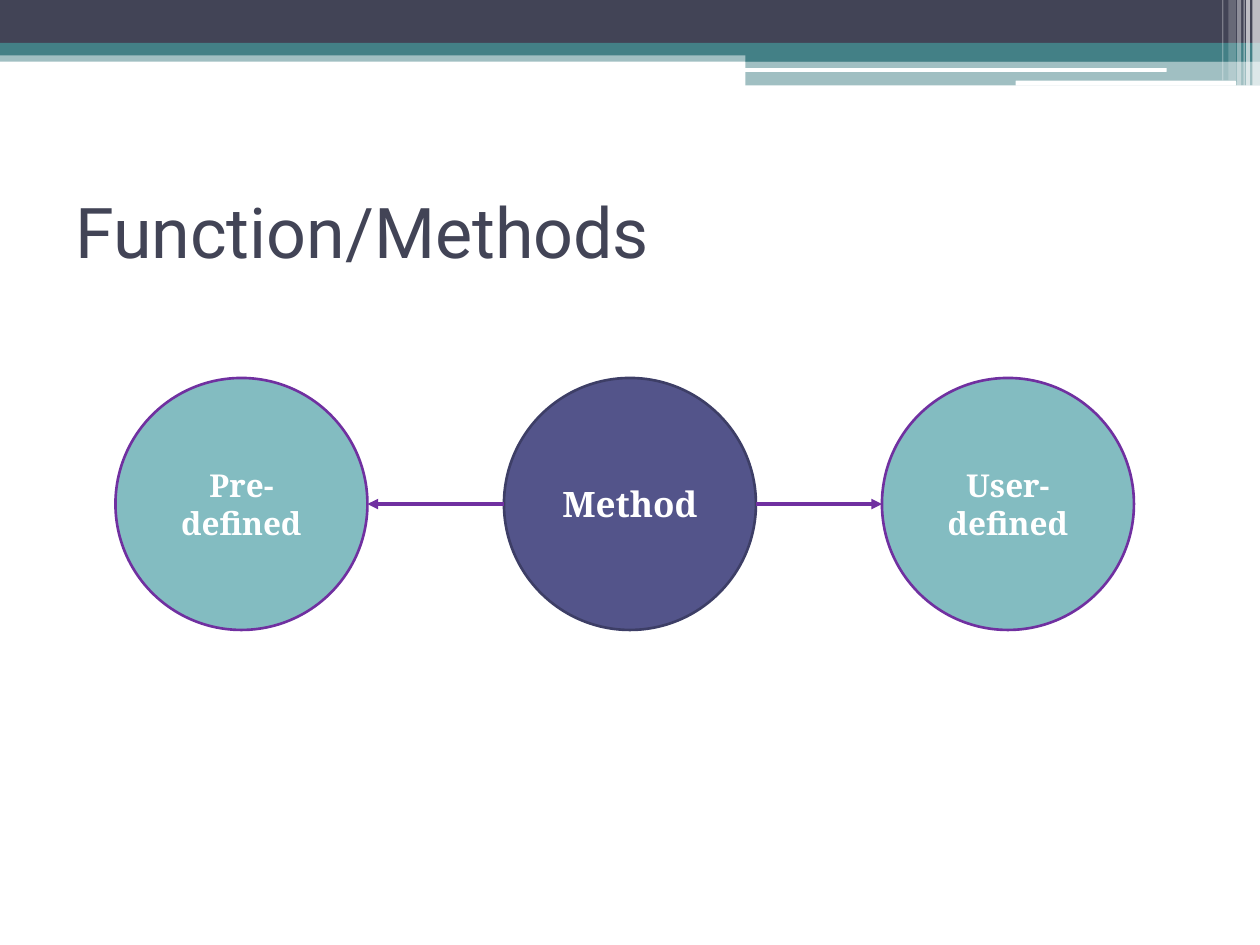
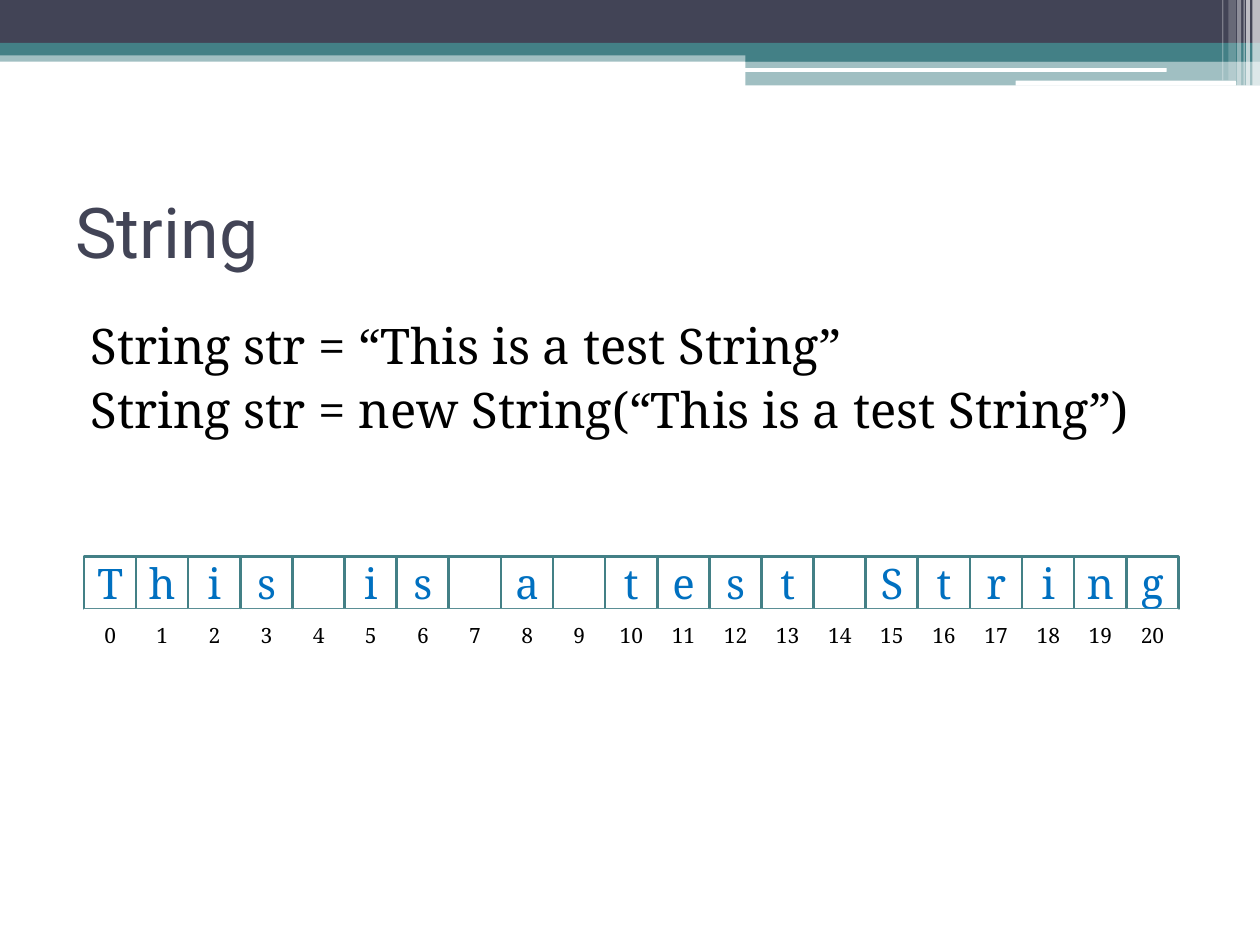
from lxml import etree
from pptx import Presentation
from pptx.dml.color import RGBColor
from pptx.enum.shapes import MSO_CONNECTOR, MSO_SHAPE
from pptx.enum.text import MSO_ANCHOR, PP_ALIGN
from pptx.oxml.ns import qn
from pptx.util import Pt

RECT, ROUND, OVAL = MSO_SHAPE.RECTANGLE, MSO_SHAPE.ROUNDED_RECTANGLE, MSO_SHAPE.OVAL
LINE = MSO_CONNECTOR.STRAIGHT
MIDDLE, TOP = MSO_ANCHOR.MIDDLE, MSO_ANCHOR.TOP
LEFT, CENTER = PP_ALIGN.LEFT, PP_ALIGN.CENTER

HEAD, BODY = "Roboto", "Noto Serif"
WHITE, BLACK = "FFFFFF", "000000"
DARK, TEAL, PURPLE = "424456", "438086", "7030A0"
INDIGO, NAVY, AQUA, BLUE = "53548A", "3D3E66", "83BCC1", "0070C0"

# Shared bands: preset, left, top, width, height, colour, opacity in percent
BANDS = [
    (RECT, 0, 28.8, 720, 6.5, TEAL, 50),
    (RECT, 0, 0, 720, 24.5, DARK, 100),
    (RECT, 0, 24.5, 720, 7.2, TEAL, 100),
    (RECT, 426, 28.1, 294, 7.2, TEAL, 100),
    (RECT, 426, 34.6, 294, 14.2, TEAL, 50),
    (ROUND, 425.5, 38.9, 241.2, 2.2, WHITE, 100),
    (ROUND, 580.3, 46.1, 126, 2.9, WHITE, 100),
]
# Pale stripes in the right corner: left, width, height, opacity
STRIPES = [
    (715.7, 4.3, 49, 65), (712.1, 2.2, 49, 65), (710.6, 0.7, 49, 60),
    (707, 2.2, 49, 40), (702, 4.3, 46, 20), (698.4, 0.7, 46, 30),
]


def rgb(code):
    return RGBColor.from_string(code)


def put(frame, lines, size, color, font=BODY, bold=False, align=LEFT, anchor=MIDDLE):
    """Fill a text frame with one paragraph for each line."""
    frame.word_wrap = True
    frame.vertical_anchor = anchor
    frame.text = "\n".join(lines)
    for par in frame.paragraphs:
        par.alignment = align
        par.font.name, par.font.size = font, Pt(size)
        par.font.bold, par.font.color.rgb = bold, rgb(color)


def box(slide, kind, left, top, width, height, fill, line=None, alpha=100):
    """Add a flat preset shape, with an outline if a line colour is given."""
    shape = slide.shapes.add_shape(kind, Pt(left), Pt(top), Pt(width), Pt(height))
    shape.shadow.inherit = False
    shape.fill.solid()
    shape.fill.fore_color.rgb = rgb(fill)
    if alpha < 100:
        tint = shape.fill._xPr.find(qn("a:solidFill"))[0]
        etree.SubElement(tint, qn("a:alpha"), val=str(alpha * 1000))
    if line:
        shape.line.color.rgb = rgb(line)
        shape.line.width = Pt(1.5)
    else:
        shape.line.fill.background()
    return shape


def text(slide, left, top, width, height, lines, size, color, **style):
    frame = slide.shapes.add_textbox(Pt(left), Pt(top), Pt(width), Pt(height)).text_frame
    put(frame, lines, size, color, **style)
    return frame


def arrow(slide, tip, end, top):
    """Add a level line with its arrowhead at the tip."""
    link = slide.shapes.add_connector(LINE, Pt(tip), Pt(top), Pt(end), Pt(top))
    link.line.color.rgb = rgb(PURPLE)
    link.line.width = Pt(2)
    etree.SubElement(link.line._get_or_add_ln(), qn("a:headEnd"), type="triangle")
    etree.SubElement(link._element.spPr, qn("a:effectLst"))


def disc(slide, left, label, size, fill, line):
    shape = box(slide, OVAL, left, 216, 144, 144, fill, line)
    put(shape.text_frame, [label], size, WHITE, bold=True, align=CENTER)


def cells(slide, top, labels, size, color, line=None):
    """Add a row of square cells, one for each label."""
    for i, label in enumerate(labels):
        shape = box(slide, RECT, 48 + i * 29.78, top, 30, 30, WHITE, line)
        frame = shape.text_frame
        frame.margin_left = frame.margin_right = 0
        frame.margin_top = frame.margin_bottom = 0
        if label.strip():
            put(frame, [label], size, color, align=CENTER)


def page(deck, title):
    """Add a slide with the shared bands and a title."""
    slide = deck.slides.add_slide(deck.slide_layouts[6])
    for kind, left, top, width, height, color, alpha in BANDS:
        box(slide, kind, left, top, width, height, color, alpha=alpha)
    for left, width, height, alpha in STRIPES:
        box(slide, RECT, left, 0, width, height, WHITE, alpha=alpha)
    text(slide, 36, 90, 648, 84, [title], 40, DARK, font=HEAD)
    return slide


def methods(deck):
    slide = page(deck, "Function/Methods")
    disc(slide, 288, "Method", 20, INDIGO, NAVY)
    disc(slide, 66, "Pre-defined", 18, AQUA, PURPLE)
    disc(slide, 504, "User-defined", 18, AQUA, PURPLE)
    arrow(slide, 210, 288, 288)
    arrow(slide, 504, 432, 288)


def strings(deck):
    slide = page(deck, "String")
    phrase = "This is a test String"
    code = [f"String str = “{phrase}”", f"String str = new String(“{phrase}”)"]
    frame = text(slide, 36, 177, 648, 340, code, 28, BLACK, anchor=TOP)
    for par in frame.paragraphs:
        par.space_before = Pt(3)
        par._p.get_or_add_pPr().set("marL", str(Pt(8.64)))
    # Letters above their index numbers
    cells(slide, 318, phrase, 24, BLUE, TEAL)
    cells(slide, 348, [str(i) for i in range(len(phrase))], 12, BLACK)


def main():
    deck = Presentation()
    deck.slide_width, deck.slide_height = Pt(720), Pt(540)
    methods(deck)
    strings(deck)
    deck.save("out.pptx")


main()
